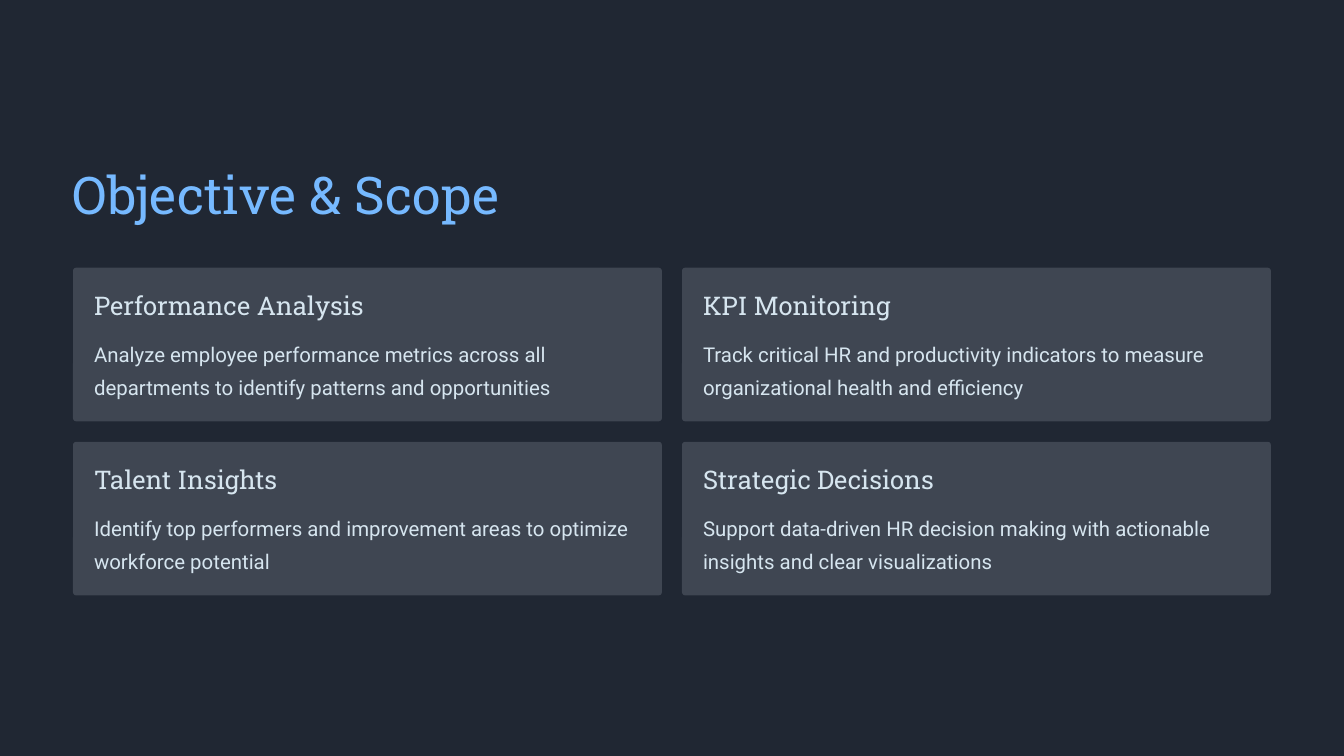
from dataclasses import dataclass

from pptx import Presentation
from pptx import util as u
from pptx.dml.color import RGBColor
from pptx.enum import shapes, text
from pptx.slide import Slide

COLORS = {
    "background": "202733",
    "card": "3F4652",
    "title": "76B9FF",
    "body": "D6E5EF",
}

LEFT, CARD_TOP = 62.6, 229.5
CARD_WIDTH, CARD_HEIGHT = 504.7, 131.6
COLUMN_STEP, ROW_STEP = 522, 149.2
COLUMNS = 2
PADDING = 18
HEADING_OFFSET, DETAIL_OFFSET = 17.5, 56.2


@dataclass(frozen=True)
class TextStyle:
    font: str
    size: float
    line: float
    color: str
    wrap: bool = False


@dataclass(frozen=True)
class Card:
    heading: str
    detail: str


TITLE = TextStyle("Roboto Slab", 44.5, 55.5, "title")
HEADING = TextStyle("Roboto Slab", 22, 27.5, "body")
DETAIL = TextStyle("Roboto", 17.5, 28.5, "body", wrap=True)

CARDS = [
    Card("Performance Analysis",
         "Analyze employee performance metrics across all departments "
         "to identify patterns and opportunities"),
    Card("KPI Monitoring",
         "Track critical HR and productivity indicators to measure "
         "organizational health and efficiency"),
    Card("Talent Insights",
         "Identify top performers and improvement areas to optimize "
         "workforce potential"),
    Card("Strategic Decisions",
         "Support data-driven HR decision making with actionable "
         "insights and clear visualizations"),
]


def rgb(name: str) -> RGBColor:
    return RGBColor.from_string(COLORS[name])


def add_label(page: Slide, words: str, style: TextStyle, left: float,
              top: float, width: float, height: float) -> None:
    box = page.shapes.add_textbox(u.Pt(left), u.Pt(top), u.Pt(width), u.Pt(height))
    frame = box.text_frame
    frame_format = {
        "margin_left": 0, "margin_top": 0, "margin_right": 0, "margin_bottom": 0,
        "word_wrap": style.wrap, "vertical_anchor": text.MSO_ANCHOR.TOP,
    }
    for name, value in frame_format.items():
        setattr(frame, name, value)
    para = frame.paragraphs[0]
    para.line_spacing = u.Pt(style.line)
    span = para.add_run()
    span.text = words
    for name, value in {"name": style.font, "size": u.Pt(style.size)}.items():
        setattr(span.font, name, value)
    span.font.color.rgb = rgb(style.color)


def add_card(page: Slide, card: Card, left: float, top: float) -> None:
    panel = page.shapes.add_shape(
        shapes.MSO_SHAPE.ROUNDED_RECTANGLE,
        u.Pt(left), u.Pt(top), u.Pt(CARD_WIDTH), u.Pt(CARD_HEIGHT))
    panel.adjustments[0] = 0.02
    panel.shadow.inherit = False
    panel.fill.solid()
    panel.fill.fore_color.rgb = rgb("card")
    panel.line.fill.background()

    inner_left, inner_width = left + PADDING, CARD_WIDTH - 2 * PADDING
    add_label(page, card.heading, HEADING,
              inner_left, top + HEADING_OFFSET, inner_width, 28)
    add_label(page, card.detail, DETAIL,
              inner_left, top + DETAIL_OFFSET, inner_width, 57)


def main() -> None:
    deck = Presentation()
    deck.slide_width, deck.slide_height = u.Pt(1152), u.Pt(648)
    page = deck.slides.add_slide(deck.slide_layouts[6])
    page.background.fill.solid()
    page.background.fill.fore_color.rgb = rgb("background")

    add_label(page, "Objective & Scope", TITLE, LEFT, 137.5, 446.4, 56)
    for index, card in enumerate(CARDS):
        row, column = divmod(index, COLUMNS)
        add_card(page, card, LEFT + column * COLUMN_STEP, CARD_TOP + row * ROW_STEP)

    deck.save("out.pptx")


if __name__ == "__main__":
    main()
